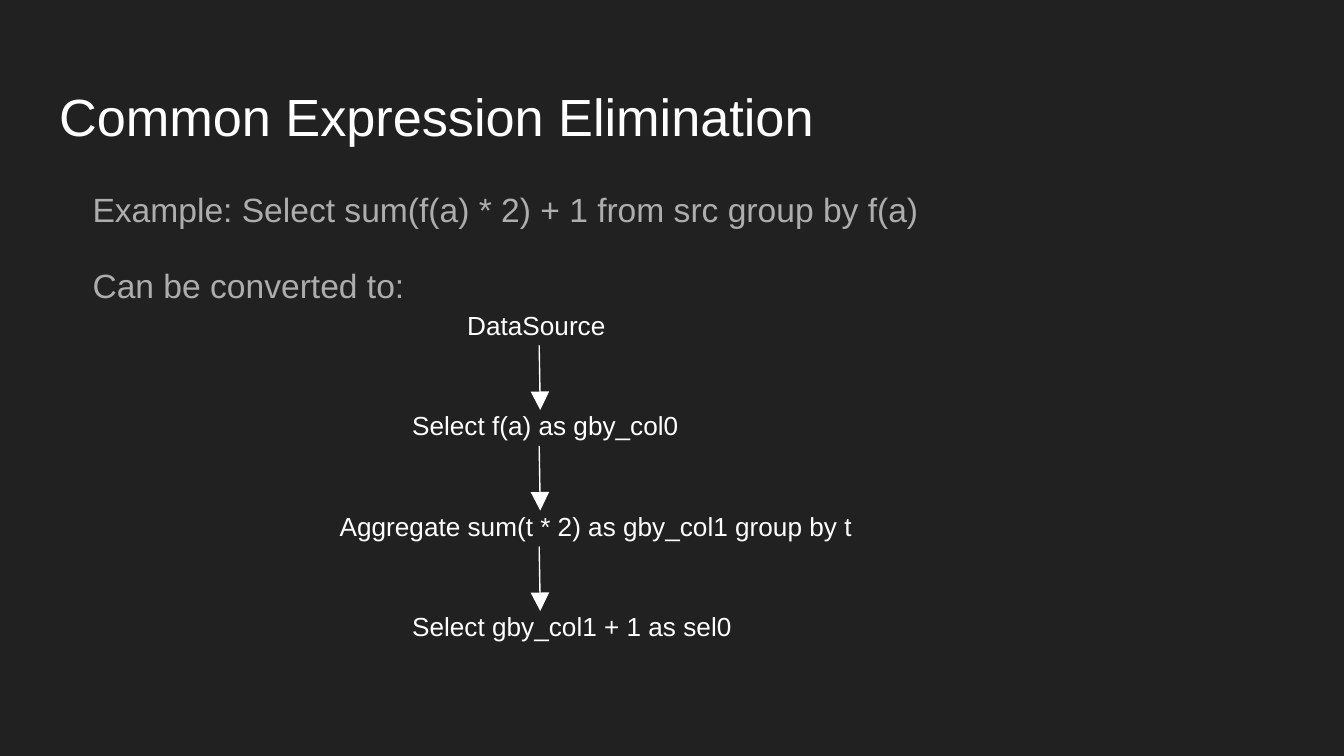
from lxml import etree
from pptx import Presentation
from pptx import util as u
from pptx.dml.color import RGBColor
from pptx.enum import shapes
from pptx.oxml import ns

COLORS = {"background": "212121", "main": "FFFFFF", "muted": "ADADAD"}


def add_text(left, top, width, height, lines, size, color):
    """Add a text box with one paragraph per line and return its text frame."""
    box = slide.shapes.add_textbox(u.Cm(left), u.Cm(top), u.Cm(width), u.Cm(height))
    frame = box.text_frame
    frame.word_wrap = True
    frame.margin_left = frame.margin_right = u.Cm(0.25)
    frame.margin_top = frame.margin_bottom = u.Cm(0.25)
    frame.text = "\n".join(lines)
    for paragraph in frame.paragraphs:
        paragraph.font.name = "Arial"
        paragraph.font.size = u.Pt(size)
        paragraph.font.color.rgb = RGBColor.from_string(COLORS[color])
    return frame


presentation = Presentation()
presentation.slide_width = u.Cm(25.4)
presentation.slide_height = u.Cm(14.29)
slide = presentation.slides.add_slide(presentation.slide_layouts[6])
slide.background.fill.solid()
slide.background.fill.fore_color.rgb = RGBColor.from_string(COLORS["background"])

title = add_text(0.87, 1.24, 23.67, 1.6, ["Common Expression Elimination"], 28, "main")
title.margin_top, title.margin_bottom = u.Cm(0.35), u.Cm(0.15)

body = add_text(0.87, 3.2, 23.67, 9.5, [
    "Example: Select sum(f(a) * 2) + 1 from src group by f(a)",
    "Can be converted to:",
], 18, "muted")
for paragraph in body.paragraphs:
    paragraph.line_spacing = 1.15
    paragraph.space_after = u.Pt(16)
    properties = paragraph._p.get_or_add_pPr()
    properties.set("marL", str(u.Cm(1.27)))
    properties.set("indent", str(-u.Cm(0.64)))

# Query plan: label, left edge and width of each step, from top to bottom
steps = [
    ("DataSource", 8.58, 3.28),
    ("Select f(a) as gby_col0", 7.54, 6.05),
    ("Aggregate sum(t * 2) as gby_col1 group by t", 6.17, 10.57),
    ("Select gby_col1 + 1 as sel0", 7.54, 6.86),
]
first_top, pitch = 5.59, 1.9
for index, (label, left, width) in enumerate(steps):
    top = first_top + index * pitch
    add_text(left, top, width, 1.32, [label], 14, "main")
    if index == len(steps) - 1:
        continue
    arrow = slide.shapes.add_connector(
        shapes.MSO_CONNECTOR.STRAIGHT,
        u.Cm(10.19), u.Cm(top + 0.94), u.Cm(10.21), u.Cm(top + 2.16))
    arrow.line.width = u.Pt(0.75)
    arrow.line.color.rgb = RGBColor.from_string(COLORS["main"])
    etree.SubElement(arrow.line._get_or_add_ln(), ns.qn("a:tailEnd"),
                     type="triangle", w="lg", len="lg")
    etree.SubElement(arrow._element.spPr, ns.qn("a:effectLst"))

presentation.save("out.pptx")
